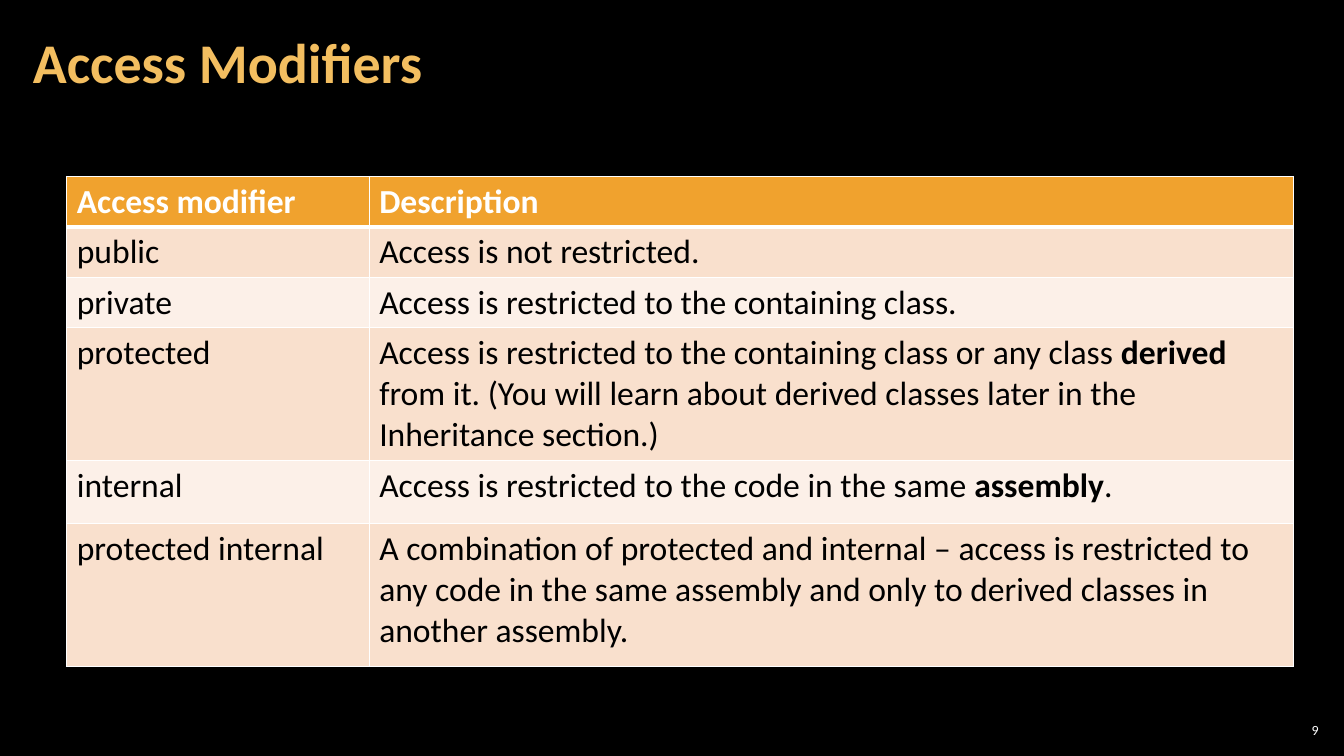
from lxml.etree import SubElement
from pptx import Presentation
from pptx.dml.color import RGBColor
from pptx.enum.text import MSO_ANCHOR, PP_ALIGN
from pptx.oxml.ns import qn
from pptx.util import Pt

BLACK = RGBColor(0x00, 0x00, 0x00)
WHITE = RGBColor(0xFF, 0xFF, 0xFF)
GOLD = RGBColor(0xF3, 0xBE, 0x60)
ORANGE = RGBColor(0xF0, 0xA2, 0x2E)
PEACH = RGBColor(0xF9, 0xE0, 0xCD)
CREAM = RGBColor(0xFC, 0xF0, 0xE8)

# Each description is a list of runs; every second run is bold
ROWS = [
    ("Access modifier", ["Description"]),
    ("public", ["Access is not restricted."]),
    ("private", ["Access is restricted to the containing class."]),
    ("protected", ["Access is restricted to the containing class or any class ", "derived",
                   " from it. (You will learn about derived classes later in the "
                   "Inheritance section.)"]),
    ("internal", ["Access is restricted to the code in the same ", "assembly", "."]),
    ("protected internal", ["A combination of protected and internal – access is restricted to "
                            "any code in the same assembly and only to derived classes in "
                            "another assembly."]),
]
COL_WIDTHS = [216, 660]
ROW_HEIGHTS = [36, 36, 36, 95, 45, 102]


def add_text(s, text, box, inset, size, color):
    tf = s.shapes.add_textbox(*[Pt(v) for v in box]).text_frame
    tf.word_wrap = True
    tf.vertical_anchor = MSO_ANCHOR.MIDDLE
    tf.margin_left = tf.margin_right = Pt(inset)
    tf.margin_top = tf.margin_bottom = Pt(3)
    p = tf.paragraphs[0]
    p.text = text
    font = p.runs[0].font
    font.name, font.size, font.color.rgb = "Calibri", Pt(size), color
    return p


def add_borders(cell, bottom):
    tcPr = cell._tc.get_or_add_tcPr()
    for side, width in (("L", 1), ("R", 1), ("T", 1), ("B", bottom)):
        ln = SubElement(tcPr, qn(f"a:ln{side}"), w=str(Pt(width)))
        fill = SubElement(ln, qn("a:solidFill"))
        SubElement(fill, qn("a:srgbClr"), val=str(WHITE))


prs = Presentation()
prs.slide_width, prs.slide_height = Pt(960), Pt(540)
s = prs.slides.add_slide(prs.slide_layouts[6])
s.background.fill.solid()
s.background.fill.fore_color.rgb = BLACK

# Title
p = add_text(s, "Access Modifiers", (15, 3, 754, 87), 8.5, 40, GOLD)
p.line_spacing = 0.9
p.runs[0].font.bold = True

# Slide number
p = add_text(s, "9", (911, 514, 34, 15), 3, 10, WHITE)
p.alignment = PP_ALIGN.RIGHT

# Table
table = s.shapes.add_table(len(ROWS), 2, Pt(47.7), Pt(126), Pt(sum(COL_WIDTHS)),
                           Pt(sum(ROW_HEIGHTS))).table
for column, width in zip(table.columns, COL_WIDTHS):
    column.width = Pt(width)
for i, (modifier, description) in enumerate(ROWS):
    table.rows[i].height = Pt(ROW_HEIGHTS[i])
    header = i == 0
    for j, texts in enumerate(([modifier], description)):
        cell = table.cell(i, j)
        add_borders(cell, 3 if header else 1)
        cell.fill.solid()
        cell.fill.fore_color.rgb = ORANGE if header else PEACH if i % 2 else CREAM
        p = cell.text_frame.paragraphs[0]
        for k, text in enumerate(texts):
            r = p.add_run()
            r.text = text
            r.font.name, r.font.size = "Calibri", Pt(24)
            r.font.bold = header or k % 2 == 1
            r.font.color.rgb = WHITE if header else BLACK

prs.save("out.pptx")
